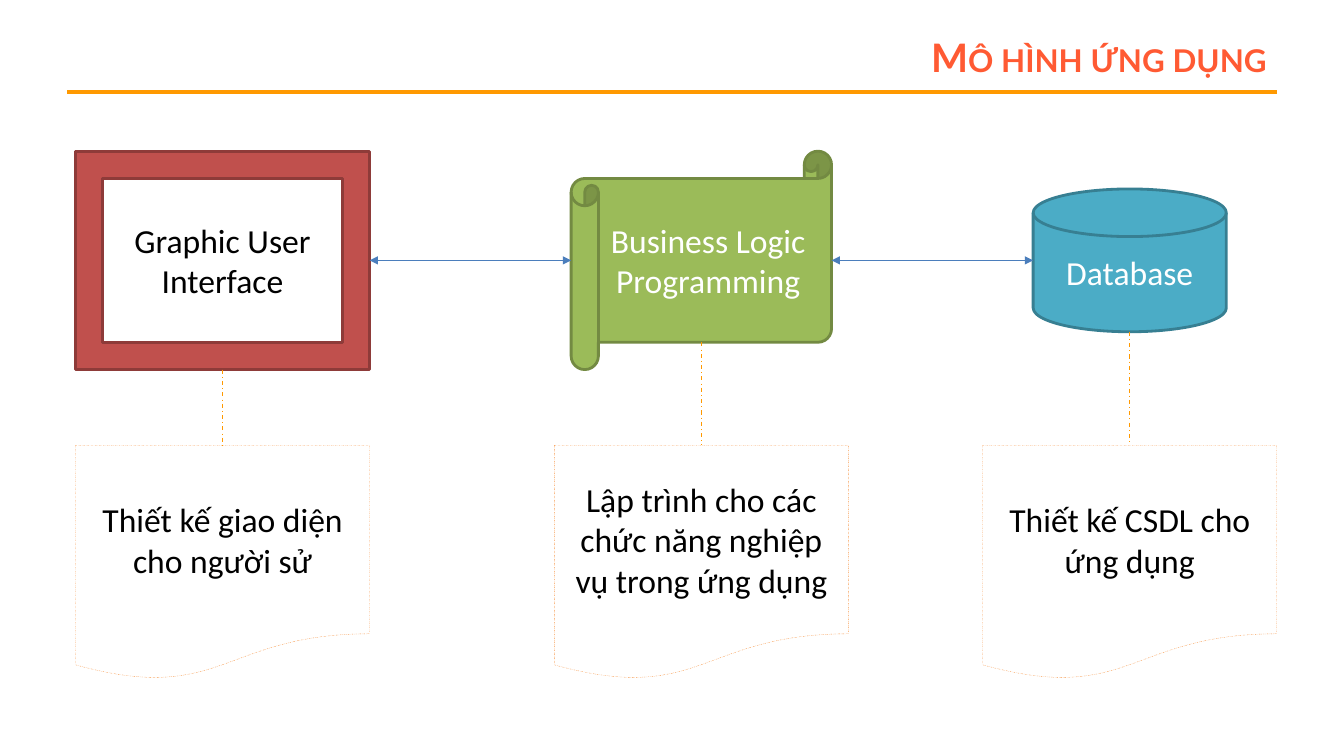
from lxml import etree
from pptx import Presentation
from pptx.dml.color import RGBColor
from pptx.enum.dml import MSO_LINE
from pptx.enum.shapes import MSO_CONNECTOR, MSO_SHAPE
from pptx.enum.text import MSO_ANCHOR, PP_ALIGN
from pptx.oxml.ns import qn
from pptx.util import Pt

PX = 9525
STRAIGHT = MSO_CONNECTOR.STRAIGHT
DASH_DOT = MSO_LINE.DASH_DOT
TOP, LEFT, BOTTOM, RIGHT = range(4)
COLORS = {
    "title": "FF5A33", "rule": "FF9900", "arrow": "4B7EBC", "note_edge": "F79646",
    "gui": "C0504D", "gui_edge": "8E3B39", "logic": "9BBB59", "logic_edge": "738A42",
    "data": "4BACC6", "data_edge": "377F92", "white": "FFFFFF", "black": "000000",
}


def add_line(x1, y1, x2, y2, color, width):
    connector = slide.shapes.add_connector(STRAIGHT, x1 * PX, y1 * PX, x2 * PX, y2 * PX)
    connector.line.color.rgb = RGBColor.from_string(COLORS[color])
    connector.line.width = Pt(width)
    etree.SubElement(connector._element.spPr, qn("a:effectLst"))
    return connector


def add_box(kind, x, y, w, h, text, fill, edge, width, text_color):
    box = slide.shapes.add_shape(kind, x * PX, y * PX, w * PX, h * PX)
    box.shadow.inherit = False
    box.fill.solid()
    box.fill.fore_color.rgb = RGBColor.from_string(COLORS[fill])
    box.line.color.rgb = RGBColor.from_string(COLORS[edge])
    box.line.width = Pt(width)
    box.text_frame.word_wrap = True
    box.text_frame.vertical_anchor = MSO_ANCHOR.MIDDLE
    label = box.text_frame.paragraphs[0]
    label.text = text
    label.alignment = PP_ALIGN.CENTER
    label.font.size = Pt(24)
    label.font.name = "Calibri"
    label.font.color.rgb = RGBColor.from_string(COLORS[text_color])
    return box


prs = Presentation()
prs.slide_width = 1280 * PX
prs.slide_height = 720 * PX
slide = prs.slides.add_slide(prs.slide_layouts[6])

add_line(64, 88, 1216, 88, "rule", 3)

title_frame = slide.shapes.add_textbox(288 * PX, 29 * PX, 928 * PX, 51 * PX).text_frame
title_frame.word_wrap = True
title_frame.vertical_anchor = MSO_ANCHOR.MIDDLE
title = title_frame.paragraphs[0]
title.text = "Mô hình ứng dụng"
title.alignment = PP_ALIGN.RIGHT
title.font.size = Pt(28)
title.font.name = "Lato"
title.font.bold = True
title.font.color.rgb = RGBColor.from_string(COLORS["title"])
title.runs[0]._r.get_or_add_rPr().set("cap", "small")

gui = add_box(MSO_SHAPE.FRAME, 72, 144, 280, 208, "Graphic User Interface",
              "gui", "gui_edge", 2, "black")
logic = add_box(MSO_SHAPE.HORIZONTAL_SCROLL, 544, 144, 248, 208,
                "Business Logic Programming", "logic", "logic_edge", 2, "white")
add_box(MSO_SHAPE.FLOWCHART_MAGNETIC_DISK, 984, 180, 184, 136, "Database",
        "data", "data_edge", 2, "white")

gui_to_logic = add_line(352, 248, 544, 248, "arrow", 0.75)
gui_to_logic.begin_connect(gui, RIGHT)
gui_to_logic.end_connect(logic, LEFT)
logic_to_data = add_line(792, 248, 984, 248, "arrow", 0.75)
logic_to_data.begin_connect(logic, RIGHT)
for link in (gui_to_logic, logic_to_data):
    for end in ("a:headEnd", "a:tailEnd"):
        etree.SubElement(link.line._get_or_add_ln(), qn(end), type="triangle")

NOTE_TOP, NOTE_WIDTH, NOTE_HEIGHT = 424, 280, 224
notes = [
    (72, 352, "Thiết kế giao diện cho người sử"),
    (528, 326, "Lập trình cho các chức năng nghiệp vụ trong ứng dụng"),
    (936, 316, "Thiết kế CSDL cho ứng dụng"),
]
for x, tier_bottom, text in notes:
    note = add_box(MSO_SHAPE.FLOWCHART_DOCUMENT, x, NOTE_TOP, NOTE_WIDTH, NOTE_HEIGHT,
                   text, "white", "note_edge", 0.25, "black")
    note.line.dash_style = DASH_DOT
    center = x + NOTE_WIDTH // 2
    leader = add_line(center, tier_bottom, center, NOTE_TOP, "rule", 0.75)
    leader.line.dash_style = DASH_DOT
    if x == 72:
        leader.begin_connect(gui, BOTTOM)
    leader.end_connect(note, TOP)

prs.save("out.pptx")
